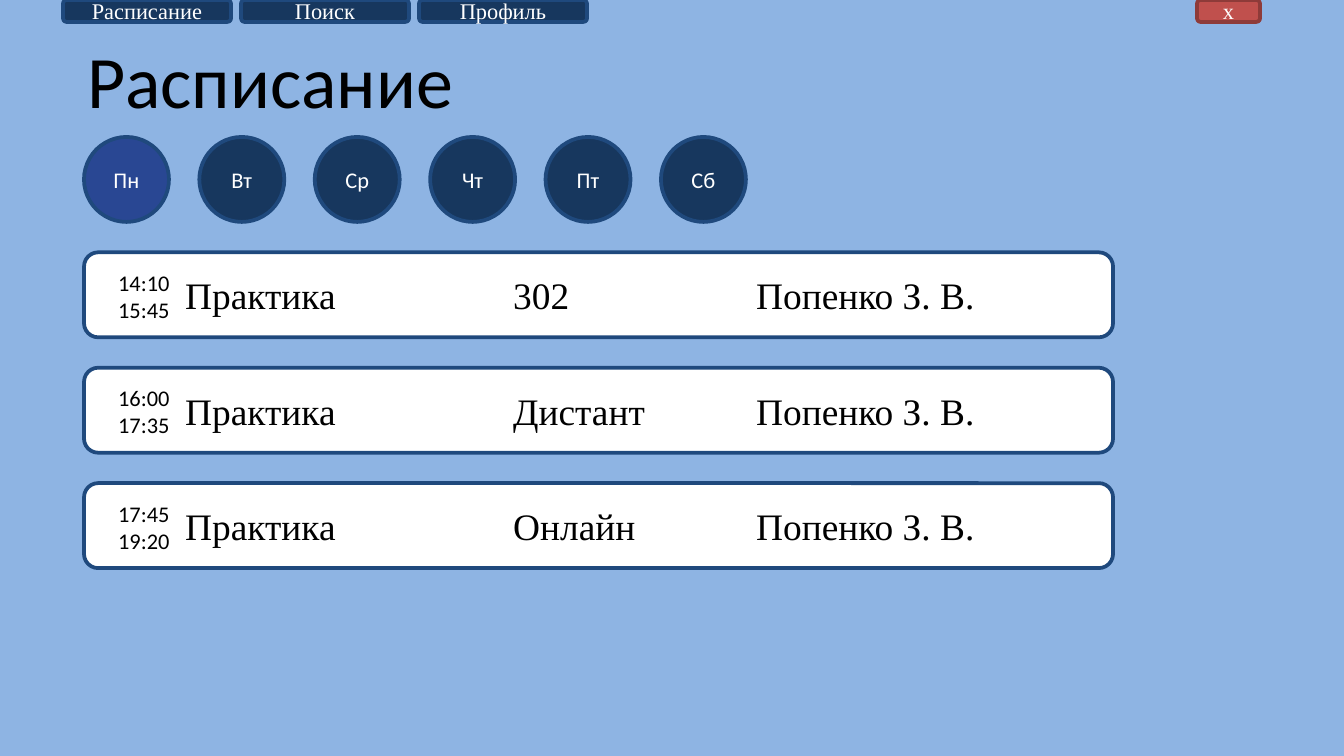
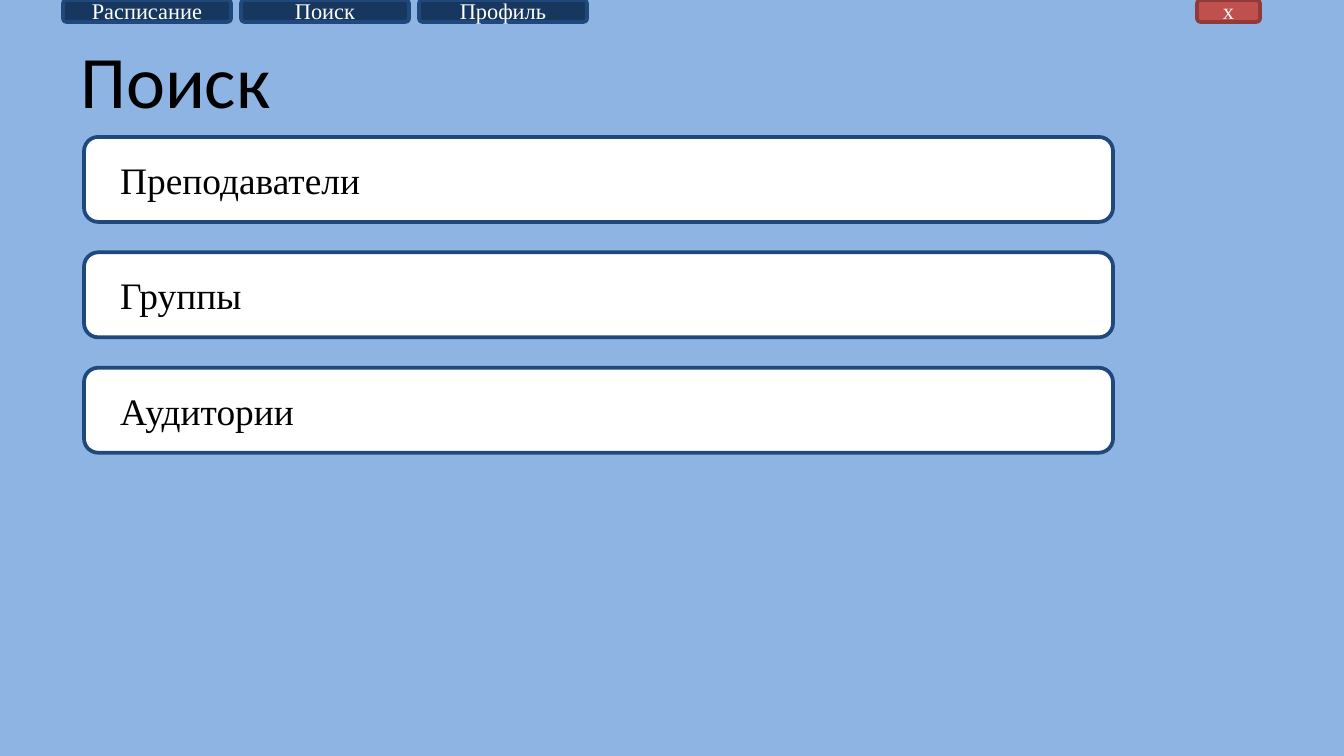
from pptx import Presentation
from pptx.dml.color import RGBColor
from pptx.enum.shapes import MSO_SHAPE as Shape
from pptx.enum.text import MSO_ANCHOR as Anchor, PP_ALIGN as Align
from pptx.oxml.ns import qn
from pptx.util import Pt
from lxml.etree import SubElement

SKY = RGBColor(0x8E, 0xB4, 0xE3)
NAVY = RGBColor(0x17, 0x37, 0x5E)
OUTLINE = RGBColor(0x1F, 0x49, 0x7D)
ACTIVE = RGBColor(0x29, 0x47, 0x93)
RED = RGBColor(0xC0, 0x50, 0x4D)
DARK_RED = RGBColor(0x8E, 0x3B, 0x39)
WHITE = RGBColor(0xFF, 0xFF, 0xFF)
BLACK = RGBColor(0x00, 0x00, 0x00)
SANS, SERIF = "Calibri", "Times New Roman"

MENU = ["Расписание", "Поиск", "Профиль"]
DAYS = ["Пн", "Вт", "Ср", "Чт", "Пт", "Сб"]
LESSONS = [
    ("14:10\n15:45", ["Практика", "302", "Попенко З. В."]),
    ("16:00\n17:35", ["Практика", "Дистант", "Попенко З. В."]),
    ("17:45\n19:20", ["Практика", "Онлайн", "Попенко З. В."]),
]
SEARCH_TARGETS = ["Преподаватели", "Группы", "Аудитории"]

LEFT, TOP = 84, 137
ITEM, LAST_DAY = 85, 661
STEP = (LAST_DAY - LEFT) / (len(DAYS) - 1)
ROW_WIDTH = 1029
CORNER_INSET = 4
LESSON_COLUMNS = [185, 513, 756]
SEARCH_COLUMNS = [120]
MENU_LEFT, MENU_STEP, MENU_WIDTH, MENU_HEIGHT = 63, 178, 168, 22


def px(length):
    return round(length * 914400 / 134.4)


def write(shape, text, size, font, color, align=Align.LEFT, anchor=Anchor.MIDDLE):
    frame = shape.text_frame
    frame.word_wrap = True
    frame.vertical_anchor = anchor
    frame.text = text
    for paragraph in frame.paragraphs:
        paragraph.alignment = align
        for run in paragraph.runs:
            run.font.size = Pt(size)
            run.font.name = font
            run.font.color.rgb = color


def add_panel(slide, kind, box, fill, outline=OUTLINE):
    shape = slide.shapes.add_shape(kind, *map(px, box))
    shape.shadow.inherit = False
    shape.fill.solid()
    shape.fill.fore_color.rgb = fill
    shape.line.color.rgb = outline
    shape.line.width = Pt(2)
    return shape


def add_label(slide, box, text, size, anchor):
    label = slide.shapes.add_textbox(*map(px, box))
    write(label, text, size, SANS, BLACK, anchor=anchor)


def add_button(slide, left, width, text, fill, outline):
    button = add_panel(slide, Shape.ROUNDED_RECTANGLE, (left, 0, width, MENU_HEIGHT), fill, outline)
    write(button, text, 12, SERIF, WHITE, Align.CENTER)


def add_row(slide, top, cells, columns):
    row = add_panel(slide, Shape.ROUNDED_RECTANGLE, (LEFT, top, ROW_WIDTH, ITEM), WHITE)
    write(row, "\t".join(cells), 20, SERIF, BLACK)
    row.text_frame.margin_left = px(columns[0] - LEFT - CORNER_INSET)
    if len(columns) > 1:
        properties = row.text_frame.paragraphs[0]._p.get_or_add_pPr()
        stops = SubElement(properties, qn("a:tabLst"))
        for column in columns[1:]:
            SubElement(stops, qn("a:tab"), pos=str(px(column - columns[0])), algn="l")


def add_screen(presentation, title, title_left):
    slide = presentation.slides.add_slide(presentation.slide_layouts[6])
    slide.background.fill.solid()
    slide.background.fill.fore_color.rgb = SKY
    add_label(slide, (title_left, 31, 500, 95), title, 39.6, Anchor.MIDDLE)
    for index, name in enumerate(MENU):
        add_button(slide, MENU_LEFT + index * MENU_STEP, MENU_WIDTH, name, NAVY, OUTLINE)
    add_button(slide, 1197, 63, "х", RED, DARK_RED)
    return slide


def build_schedule(presentation):
    slide = add_screen(presentation, "Расписание", 74)
    for index, day in enumerate(DAYS):
        box = (LEFT + index * STEP, TOP, ITEM, ITEM)
        circle = add_panel(slide, Shape.OVAL, box, NAVY if index else ACTIVE)
        write(circle, day, 12, SANS, WHITE, Align.CENTER)
    for index, (times, cells) in enumerate(LESSONS, start=1):
        top = TOP + index * STEP
        add_row(slide, top, cells, LESSON_COLUMNS)
        add_label(slide, (105, top + 10, 105, 67), times, 12, Anchor.TOP)


def build_search(presentation):
    slide = add_screen(presentation, "Поиск", 67)
    for index, target in enumerate(SEARCH_TARGETS):
        add_row(slide, TOP + index * STEP, [target], SEARCH_COLUMNS)


def main():
    presentation = Presentation()
    presentation.slide_width, presentation.slide_height = px(1344), px(756)
    build_schedule(presentation)
    build_search(presentation)
    presentation.save("out.pptx")


if __name__ == "__main__":
    main()
